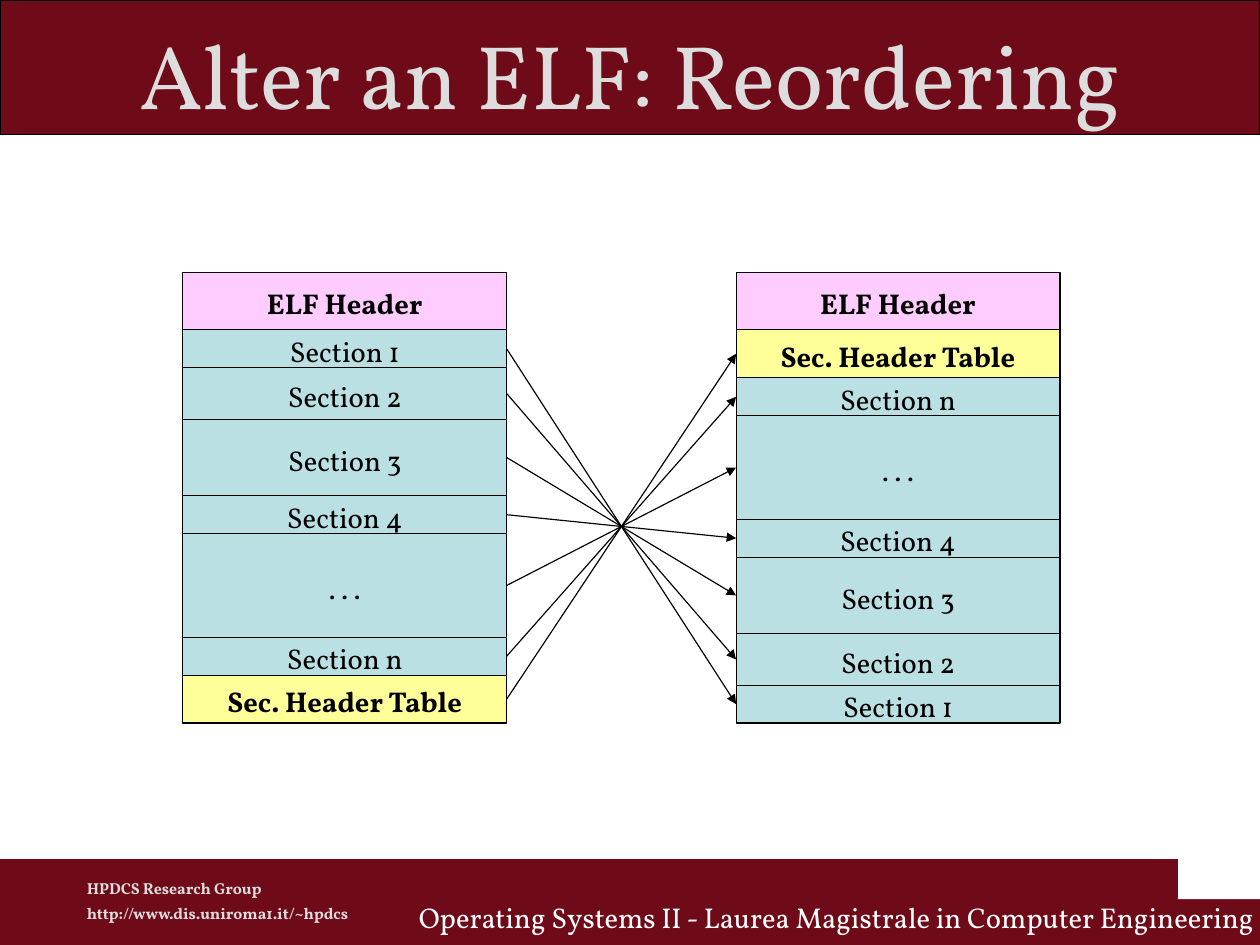
from dataclasses import dataclass

from lxml.etree import SubElement
from pptx import Presentation
from pptx.dml.color import RGBColor as RGB
from pptx.enum.shapes import MSO_CONNECTOR as LINK, MSO_SHAPE as FORM
from pptx.enum.text import MSO_ANCHOR as ANCHOR, PP_ALIGN as ALIGN
from pptx.oxml.ns import qn
from pptx.util import Pt


@dataclass(frozen=True)
class Theme:
    font: str = "Vollkorn"
    wine: str = "6F0A18"
    white: str = "FFFFFF"
    black: str = "000000"
    silver: str = "DDDDDD"
    pink: str = "FFCCFF"
    yellow: str = "FFFF99"
    teal: str = "BBE0E3"
    title: int = 57
    body: int = 18
    small: int = 10
    line: float = 0.75
    lead: float = 1.13


THEME = Theme()
WIDTH, HEIGHT = 793.7, 595.28
FOOT = 541.2
TOP, LEFT, RIGHT, SPAN = 171.8, 115.2, 463.7, 204

HEADER = ("ELF Header", 36, THEME.pink, True)
PARTS = [
    ("Section 1", 23.9, THEME.teal, False),
    ("Section 2", 32.4, THEME.teal, False),
    ("Section 3", 48.2, THEME.teal, False),
    ("Section 4", 23.9, THEME.teal, False),
    (". . .", 65.2, THEME.teal, False),
    ("Section n", 23.9, THEME.teal, False),
    ("Sec. Header Table", 30.2, THEME.yellow, True),
]


def add_text(frame, text, size, color, bold=False, align=ALIGN.LEFT, lead=THEME.lead, first=True):
    para = frame.paragraphs[0] if first else frame.add_paragraph()
    para.alignment = align
    para.line_spacing = lead
    run = para.add_run()
    run.text = text
    run.font.name = THEME.font
    run.font.size = Pt(size)
    run.font.bold = bold
    run.font.color.rgb = RGB.from_string(color)


def add_rect(slide, x, y, w, h, fill, edge=True):
    rect = slide.shapes.add_shape(FORM.RECTANGLE, Pt(x), Pt(y), Pt(w), Pt(h))
    rect.shadow.inherit = False
    rect.fill.solid()
    rect.fill.fore_color.rgb = RGB.from_string(fill)
    if edge:
        rect.line.color.rgb = RGB.from_string(THEME.black)
        rect.line.width = Pt(THEME.line)
    else:
        rect.line.fill.background()
    return rect


def add_box(slide, x, y, w, h, inset=(0, 0), anchor=ANCHOR.TOP):
    frame = slide.shapes.add_textbox(Pt(x), Pt(y), Pt(w), Pt(h)).text_frame
    frame.word_wrap = True
    frame.vertical_anchor = anchor
    frame.margin_left = frame.margin_right = Pt(inset[0])
    frame.margin_top = frame.margin_bottom = Pt(inset[1])
    return frame


def add_arrow(slide, x1, y1, x2, y2):
    arrow = slide.shapes.add_connector(LINK.STRAIGHT, Pt(x1), Pt(y1), Pt(x2), Pt(y2))
    arrow.line.color.rgb = RGB.from_string(THEME.black)
    arrow.line.width = Pt(THEME.line)
    SubElement(arrow.line._get_or_add_ln(), qn("a:tailEnd"), type="triangle")
    SubElement(arrow._element.spPr, qn("a:effectLst"))


def add_stack(slide, x, parts):
    mids = {}
    y = TOP
    for name, height, fill, bold in parts:
        rect = add_rect(slide, x, y, SPAN, height, fill)
        rect.text_frame.vertical_anchor = ANCHOR.MIDDLE
        add_text(rect.text_frame, name, THEME.body, THEME.black, bold, ALIGN.CENTER)
        mids[name] = y + height / 2
        y += height
    return mids


def add_frame(slide):
    add_rect(slide, 0, 0, WIDTH, 85, THEME.wine)
    add_rect(slide, 0, FOOT, WIDTH, HEIGHT - FOOT, THEME.wine, False)
    add_rect(slide, 742.1, FOOT, WIDTH - 742.1, 25.2, THEME.white, False)
    group = add_box(slide, 47.6, 548.4, 191.5, 40.3, (7.2, 3.6))
    add_text(group, "HPDCS Research Group", THEME.small, THEME.silver, True)
    add_text(group, "http://www.dis.uniroma1.it/~hpdcs", THEME.small, THEME.silver, True,
             lead=1.29, first=False)
    course = add_box(slide, 244.8, 563.8, 545, 26.6)
    add_text(course, "Operating Systems II - Laurea Magistrale in Computer Engineering",
             THEME.body, THEME.white, align=ALIGN.RIGHT)
    title = add_box(slide, 9.4, -20.4, 774.7, 124.6, anchor=ANCHOR.MIDDLE)
    add_text(title, "Alter an ELF: Reordering", THEME.title, THEME.silver, align=ALIGN.CENTER)


def main():
    deck = Presentation()
    deck.slide_width, deck.slide_height = Pt(WIDTH), Pt(HEIGHT)
    slide = deck.slides.add_slide(deck.slide_layouts[6])
    add_frame(slide)
    before = add_stack(slide, LEFT, [HEADER, *PARTS])
    after = add_stack(slide, RIGHT, [HEADER, *reversed(PARTS)])
    for name, *_ in PARTS:
        add_arrow(slide, LEFT + SPAN, before[name], RIGHT, after[name])
    deck.save("out.pptx")


if __name__ == "__main__":
    main()
